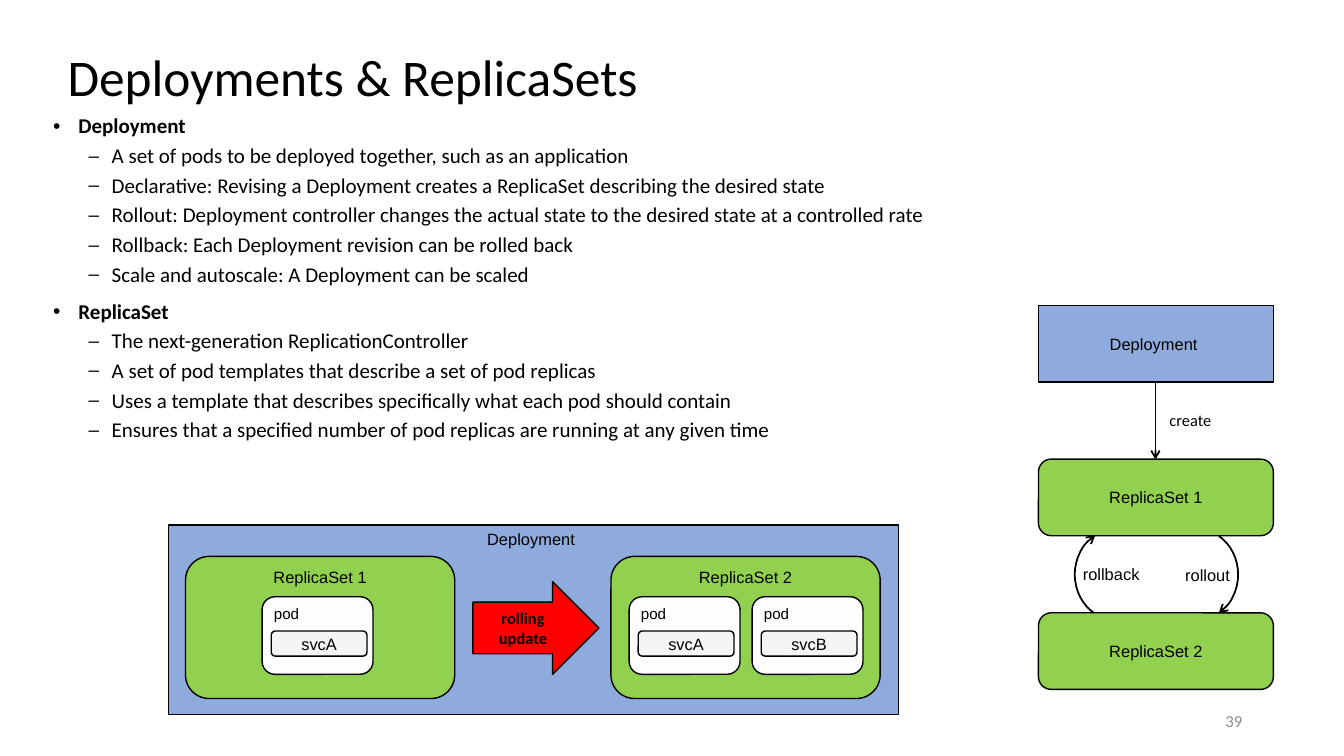
"""Build the slide that explains Deployments and ReplicaSets."""
import pptx
import pptx.dml.color
import pptx.enum.shapes
import pptx.enum.text
import pptx.oxml
import pptx.oxml.ns
import pptx.util

Inches = pptx.util.Inches
Pt = pptx.util.Pt
RGBColor = pptx.dml.color.RGBColor
Shape = pptx.enum.shapes.MSO_SHAPE
Align = pptx.enum.text.PP_ALIGN
Anchor = pptx.enum.text.MSO_ANCHOR

BLACK = RGBColor(0, 0, 0)
GRAY = RGBColor(0x8C, 0x8C, 0x8C)
BLUE = RGBColor(0x8F, 0xAA, 0xDC)
GREEN = RGBColor(0x92, 0xD0, 0x50)
RED = RGBColor(0xFF, 0, 0)
POD_FILL = RGBColor(0xFD, 0xFD, 0xFD)
SERVICE_FILL = RGBColor(0xF5, 0xF5, 0xF5)

LABEL = {"name": "Arial", "size": Pt(11.7)}
POD_LABEL = {"name": "Arial", "size": Pt(10.8)}
ARROW_LABEL = {"name": "Calibri", "size": Pt(11.7), "bold": True}
CREATE_LABEL = {"name": "Calibri", "size": Pt(11.7)}
TITLE = {"name": "Calibri", "size": Pt(36.7), "bold": False}
TOPIC = {"name": "Calibri", "size": Pt(15), "bold": True}
DETAIL = {"name": "Calibri", "size": Pt(15), "bold": False}
NUMBER = {"name": "Calibri", "size": Pt(12)}

TOPICS = {
    "Deployment": (
        "A set of pods to be deployed together, such as an application",
        "Declarative: Revising a Deployment creates a ReplicaSet describing the desired state",
        "Rollout: Deployment controller changes the actual state to the desired state at a controlled rate",
        "Rollback: Each Deployment revision can be rolled back",
        "Scale and autoscale: A Deployment can be scaled",
    ),
    "ReplicaSet": (
        "The next-generation ReplicationController",
        "A set of pod templates that describe a set of pod replicas",
        "Uses a template that describes specifically what each pod should contain",
        "Ensures that a specified number of pod replicas are running at any given time",
    ),
}


def set_all(target, values):
    """Set every attribute named in values."""
    for name, value in values.items():
        setattr(target, name, value)


def add_xml(parent, tag, attributes=""):
    """Append one DrawingML element to parent."""
    namespace = pptx.oxml.ns.nsdecls("a")
    parent.append(pptx.oxml.parse_xml(f"<a:{tag} {namespace} {attributes}/>"))


def write(para, text, font, color=BLACK, align=Align.LEFT):
    """Put one formatted span in a paragraph."""
    span = para.add_run()
    span.text = text
    set_all(span.font, font)
    span.font.color.rgb = color
    para.alignment = align


def add_text(shapes, place, text, font, color=BLACK, align=Align.LEFT, anchor=Anchor.TOP):
    """Add a wrapping text box with one paragraph."""
    box = shapes.add_textbox(*map(Inches, place))
    set_all(box.text_frame, {"word_wrap": True, "vertical_anchor": anchor})
    write(box.text_frame.paragraphs[0], text, font, color, align)


def add_box(shapes, kind, place, text, fill=None, font=LABEL, align=Align.CENTER,
            anchor=Anchor.MIDDLE, wrap=False):
    """Add an outlined preset shape with a label."""
    box = shapes.add_shape(kind, *map(Inches, place))
    box.shadow.inherit = False
    if fill is None:
        box.fill.background()
    else:
        box.fill.solid()
        box.fill.fore_color.rgb = fill
    box.line.color.rgb = BLACK
    box.line.width = Pt(1)
    set_all(box.text_frame, {
        "margin_left": Inches(0.08), "margin_right": Inches(0.08),
        "margin_top": Inches(0.04), "margin_bottom": Inches(0.04),
        "word_wrap": wrap, "vertical_anchor": anchor})
    write(box.text_frame.paragraphs[0], text, font, align=align)
    return box


def add_arrowhead(item):
    """Give a line or arc its width, colour and open arrowhead."""
    item.line.color.rgb = BLACK
    item.line.width = Pt(1.25)
    add_xml(item.line._get_or_add_ln(), "tailEnd", 'type="arrow"')


def add_arc(shapes, left, text, angles, align):
    """Add a labelled arc arrow between the two ReplicaSets."""
    arc = add_box(shapes, Shape.ARC, (left, 5.25, 0.81, 0.9), text, align=align)
    for index, angle in enumerate(angles):
        arc.adjustments[index] = angle * 0.6
    add_arrowhead(arc)


def add_pod(shapes, left, service):
    """Add a pod that holds one service."""
    add_box(shapes, Shape.ROUNDED_RECTANGLE, (left, 5.92, 1.1, 0.77), "pod",
            POD_FILL, POD_LABEL, Align.LEFT, Anchor.TOP)
    add_box(shapes, Shape.ROUNDED_RECTANGLE, (left + 0.09, 6.26, 0.95, 0.25),
            service, SERVICE_FILL)


def add_replica_set(shapes, left, text, pods):
    """Add a ReplicaSet with its pods, given as offset and service."""
    add_box(shapes, Shape.ROUNDED_RECTANGLE, (left, 5.52, 2.67, 1.41), text,
            GREEN, anchor=Anchor.TOP)
    for offset, service in pods:
        add_pod(shapes, left + offset, service)


def add_bullet(para, text, font, level, indent, hang, space, mark, size):
    """Write one bulleted paragraph."""
    write(para, text, font)
    set_all(para, {"level": level, "line_spacing": 0.9, "space_before": Pt(space)})
    properties = para._p.get_or_add_pPr()
    properties.set("marL", str(Inches(indent)))
    properties.set("indent", str(-Inches(hang)))
    add_xml(properties, "buSzPct", f'val="{size * 1000}"')
    add_xml(properties, "buFont", 'typeface="Arial"')
    add_xml(properties, "buChar", f'char="{mark}"')


def add_topics(shapes):
    """Add the two-level bullet list."""
    frame = shapes.add_textbox(*map(Inches, (0.43, 1.1, 9.87, 4))).text_frame
    frame.word_wrap = True
    para = frame.paragraphs[0]
    for topic, details in TOPICS.items():
        if para.text:
            para = frame.add_paragraph()
        add_bullet(para, topic, TOPIC, 0, 0.25, 0.25, 10, "\u2022", 100)
        for detail in details:
            para = frame.add_paragraph()
            add_bullet(para, detail, DETAIL, 1, 0.58, 0.23, 5, "\u2013", 90)


def add_title(page, text):
    """Place and format the title."""
    title = page.shapes.title
    places = (0.57, 0.07, 11.5, 1.45)
    set_all(title, dict(zip(("left", "top", "width", "height"), map(Inches, places))))
    set_all(title.text_frame, {"vertical_anchor": Anchor.MIDDLE, "word_wrap": True,
                               "auto_size": pptx.enum.text.MSO_AUTO_SIZE.NONE})
    para = title.text_frame.paragraphs[0]
    write(para, text, TITLE)
    para.line_spacing = 0.9


def add_rolling_update(page):
    """Draw the Deployment that replaces one ReplicaSet by another."""
    shapes = page.shapes.add_group_shape().shapes
    add_box(shapes, Shape.RECTANGLE, (1.67, 5.21, 7.24, 1.88), "Deployment ",
            BLUE, anchor=Anchor.TOP)
    add_replica_set(shapes, 1.84, "ReplicaSet 1", [(0.76, "svcA")])
    add_replica_set(shapes, 6.06, "ReplicaSet 2", [(1.4, "svcB"), (0.18, "svcA")])
    arrow = add_box(shapes, Shape.RIGHT_ARROW, (4.69, 5.77, 1.25, 0.92),
                    "rolling update", RED, ARROW_LABEL, wrap=True)
    arrow.adjustments[0] = 0.556


def add_life_cycle(page):
    """Draw the create, rollout and rollback steps."""
    shapes = page.shapes.add_group_shape().shapes
    steps = (("Deployment ", Shape.RECTANGLE, BLUE),
             ("ReplicaSet 1", Shape.ROUNDED_RECTANGLE, GREEN),
             ("ReplicaSet 2", Shape.ROUNDED_RECTANGLE, GREEN))
    for index, (text, kind, fill) in enumerate(steps):
        add_box(shapes, kind, (10.3, 3.03 + index * 1.525, 2.33, 0.76), text, fill)
    add_arc(shapes, 11.47, "rollout", (299.17, 60.89), Align.RIGHT)
    add_arc(shapes, 10.66, "rollback", (119.43, 242.68), Align.LEFT)
    line = shapes.add_connector(pptx.enum.shapes.MSO_CONNECTOR.STRAIGHT,
                                *map(Inches, (11.46, 3.79, 11.46, 4.56)))
    add_arrowhead(line)
    add_xml(line._element.spPr, "effectLst")
    add_text(shapes, (11.5, 4.02, 1.03, 0.3), "create", CREATE_LABEL)


def main():
    """Build and save the deck."""
    deck = pptx.Presentation()
    set_all(deck, {"slide_width": Inches(13.33), "slide_height": Inches(7.5)})
    page = deck.slides.add_slide(deck.slide_layouts[5])
    add_title(page, "Deployments & ReplicaSets")
    add_text(page.shapes, (9.42, 6.95, 3, 0.4), "39", NUMBER, GRAY, Align.RIGHT, Anchor.MIDDLE)
    add_topics(page.shapes)
    add_rolling_update(page)
    add_life_cycle(page)
    deck.save("out.pptx")


main()
